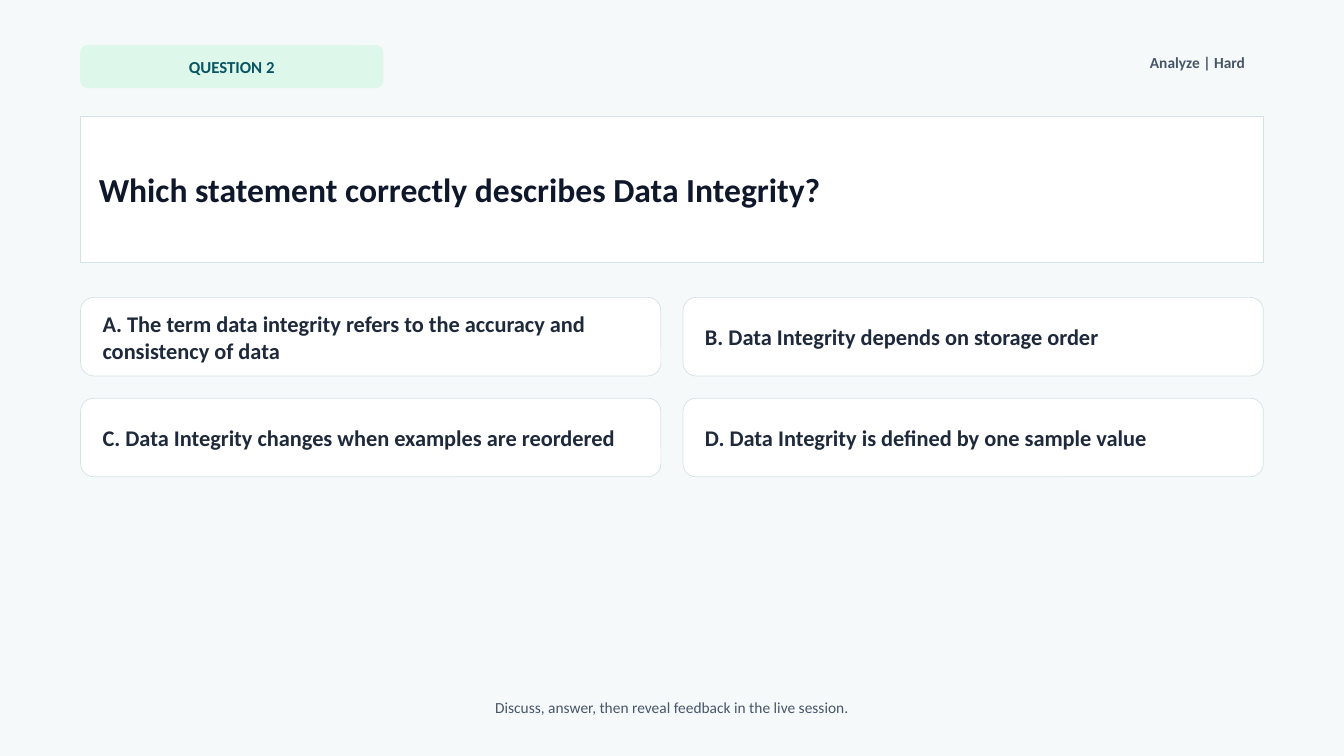
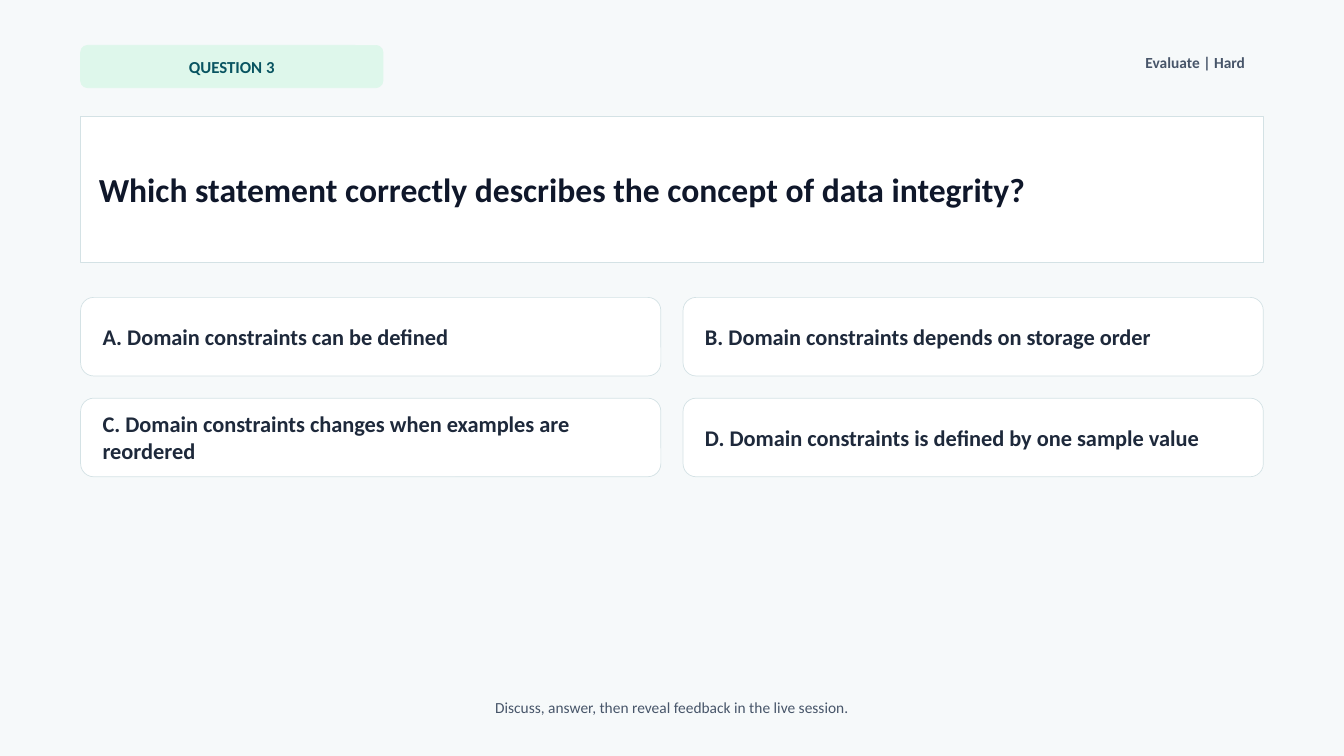
import pptx
import pptx.util
import pptx.dml.color
import pptx.enum.shapes
import pptx.enum.text
import pptx.oxml
import pptx.oxml.ns
from dataclasses import dataclass

QUESTIONS = [
    {
        "label": "QUESTION 2",
        "level": "Analyze | Hard",
        "title": "Which statement correctly describes Data Integrity?",
        "options": [
            "A. The term data integrity refers to the accuracy and consistency of data",
            "B. Data Integrity depends on storage order",
            "C. Data Integrity changes when examples are reordered",
            "D. Data Integrity is defined by one sample value",
        ],
    },
    {
        "label": "QUESTION 3",
        "level": "Evaluate | Hard",
        "title": "Which statement correctly describes the concept of data integrity?",
        "options": [
            "A. Domain constraints can be defined",
            "B. Domain constraints depends on storage order",
            "C. Domain constraints changes when examples are reordered",
            "D. Domain constraints is defined by one sample value",
        ],
    },
]
FOOTER = "Discuss, answer, then reveal feedback in the live session."

Pt = pptx.util.Pt
ALIGN = pptx.enum.text.PP_ALIGN
ANCHOR = pptx.enum.text.MSO_ANCHOR


@dataclass(frozen=True)
class Theme:
    font: str = "Calibri"
    page: str = "F6F9FA"
    card: str = "FFFFFF"
    border: str = "D4E2E5"
    mint: str = "DEF7EB"
    teal: str = "085461"
    ink: str = "0F172A"
    option_ink: str = "1E293B"
    muted: str = "475569"
    title_size: float = 24
    option_size: float = 16
    label_size: float = 12
    note_size: float = 11
    line_width: float = 0.5


THEME = Theme()
SLIDE_W, SLIDE_H = 960, 540
MARGIN = 57.6
CONTENT_W = SLIDE_W - 2 * MARGIN
HEADER_TOP, HEADER_H = 32.4, 30.24
LABEL_W, LEVEL_W = 216, 230.4
TITLE_TOP, TITLE_H = 82.8, 104.4
OPTIONS_TOP, OPTION_H, GAP = 212.4, 56.16, 15.84
COLUMNS = 2
OPTION_W = (CONTENT_W - GAP * (COLUMNS - 1)) / COLUMNS
FOOTER_TOP, FOOTER_H = 493.2, 20.16
FRAME = {
    "margin_left": Pt(12.96),
    "margin_right": Pt(12.96),
    "margin_top": Pt(5.76),
    "margin_bottom": Pt(5.76),
    "word_wrap": True,
    "auto_size": pptx.enum.text.MSO_AUTO_SIZE.NONE,
}


def rgb(value):
    return pptx.dml.color.RGBColor.from_string(value)


def apply(target, values):
    for name, value in values.items():
        setattr(target, name, value)


def write(sp, text, size, color, align=ALIGN.LEFT, anchor=ANCHOR.MIDDLE, bold=True):
    tf = sp.text_frame
    apply(tf, {**FRAME, "vertical_anchor": anchor})
    p = tf.paragraphs[0]
    p.alignment = align
    r = p.add_run()
    r.text = text
    apply(r.font, {"name": THEME.font, "size": Pt(size), "bold": bold})
    r.font.color.rgb = rgb(color)


def paint(sp, fill, line):
    sp.fill.solid()
    sp.fill.fore_color.rgb = rgb(fill)
    sp.line.color.rgb = rgb(line)
    sp.line.width = Pt(THEME.line_width)


def add_card(s, box, fill, line):
    kind = pptx.enum.shapes.MSO_SHAPE.ROUNDED_RECTANGLE
    sp = s.shapes.add_shape(kind, *map(Pt, box))
    sp.shadow.inherit = False
    paint(sp, fill, line)
    return sp


def add_title(s, text):
    sp = s.shapes.title
    box = (MARGIN, TITLE_TOP, CONTENT_W, TITLE_H)
    apply(sp, dict(zip(("left", "top", "width", "height"), map(Pt, box))))
    sp._element.spPr.append(pptx.oxml.parse_xml(
        f'<a:prstGeom {pptx.oxml.ns.nsdecls("a")} prst="roundRect"><a:avLst/></a:prstGeom>'
    ))
    paint(sp, THEME.card, THEME.border)
    write(sp, text, THEME.title_size, THEME.ink)


def add_note(s, box, text, align, bold):
    sp = s.shapes.add_textbox(*map(Pt, box))
    write(sp, text, THEME.note_size, THEME.muted, align, ANCHOR.TOP, bold)


def add_question(prs, question):
    s = prs.slides.add_slide(prs.slide_layouts.get_by_name("Title Only"))
    label = add_card(s, (MARGIN, HEADER_TOP, LABEL_W, HEADER_H), THEME.mint, THEME.mint)
    write(label, question["label"], THEME.label_size, THEME.teal, ALIGN.CENTER)
    level_left = SLIDE_W - MARGIN - LEVEL_W
    add_note(s, (level_left, HEADER_TOP, LEVEL_W, HEADER_H), question["level"], ALIGN.RIGHT, True)
    add_title(s, question["title"])
    for i, option in enumerate(question["options"]):
        row, col = divmod(i, COLUMNS)
        left = MARGIN + col * (OPTION_W + GAP)
        top = OPTIONS_TOP + row * (OPTION_H + GAP)
        card = add_card(s, (left, top, OPTION_W, OPTION_H), THEME.card, THEME.border)
        write(card, option, THEME.option_size, THEME.option_ink)
    add_note(s, (MARGIN, FOOTER_TOP, CONTENT_W, FOOTER_H), FOOTER, ALIGN.CENTER, False)


def main():
    prs = pptx.Presentation()
    apply(prs, {"slide_width": Pt(SLIDE_W), "slide_height": Pt(SLIDE_H)})
    background = prs.slide_master.background.fill
    background.solid()
    background.fore_color.rgb = rgb(THEME.page)
    for question in QUESTIONS:
        add_question(prs, question)
    prs.save("out.pptx")


if __name__ == "__main__":
    main()
